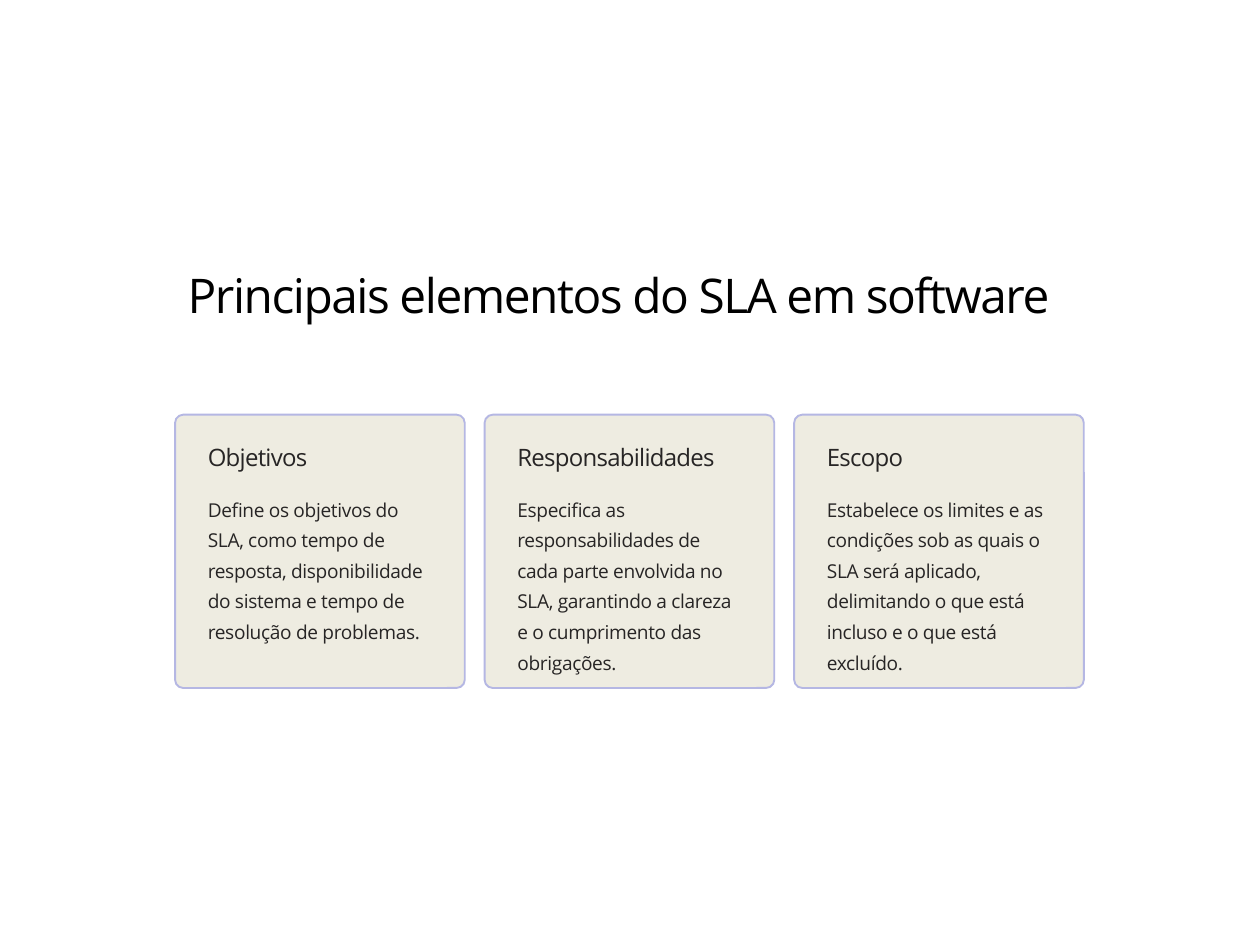
import pptx
import pptx.dml.color
import pptx.enum.shapes
import pptx.enum.text
import pptx.util
from pptx.util import Cm

LEFT, TOP = 3.53, 8.36
CARD_W, CARD_H, PITCH = 5.84, 5.51, 6.24
PAD = 0.41
CARDS = [
    ("Objetivos",
     "Define os objetivos do SLA, como tempo de resposta, disponibilidade "
     "do sistema e tempo de resolução de problemas."),
    ("Responsabilidades",
     "Especifica as responsabilidades de cada parte envolvida no SLA, "
     "garantindo a clareza e o cumprimento das obrigações."),
    ("Escopo",
     "Estabelece os limites e as condições sob as quais o SLA será aplicado, "
     "delimitando o que está incluso e o que está excluído."),
]


def rgb(value):
    """Return the colour for a hex string."""
    return pptx.dml.color.RGBColor.from_string(value)


def write(sp, text, size, leading, spacing, color, wrap=True):
    """Fill a shape with one left-aligned paragraph."""
    tf = sp.text_frame
    tf.word_wrap = wrap
    tf.auto_size = pptx.enum.text.MSO_AUTO_SIZE.NONE
    tf.vertical_anchor = pptx.enum.text.MSO_ANCHOR.TOP
    p = tf.paragraphs[0]
    p.alignment = pptx.enum.text.PP_ALIGN.LEFT
    p.line_spacing = pptx.util.Pt(leading)
    p.font.name = "Open Sans"
    p.font.size = pptx.util.Pt(size)
    p.font.color.rgb = rgb(color)
    r = p.add_run()
    r.text = text
    r._r.get_or_add_rPr().set("spc", str(round(spacing * 100)))


def add_title(s, text):
    """Place and format the title placeholder."""
    sp = s.shapes.title
    sp.left, sp.top, sp.width, sp.height = Cm(LEFT), Cm(5.18), Cm(18.31), Cm(2.41)
    write(sp, text, 27.3, 34.2, -0.8, "000000")


def add_card(s, x, heading, body):
    """Add a rounded card with a heading and a description."""
    sp = s.shapes.add_shape(
        pptx.enum.shapes.MSO_SHAPE.ROUNDED_RECTANGLE,
        Cm(x), Cm(TOP), Cm(CARD_W), Cm(CARD_H))
    sp.adjustments[0] = 0.03
    sp.shadow.inherit = False
    sp.fill.solid()
    sp.fill.fore_color.rgb = rgb("EEECE1")
    sp.line.color.rgb = rgb("B5B7E3")
    sp.line.width = pptx.util.Pt(1.09)
    left, width = Cm(x + PAD), Cm(CARD_W - 2 * PAD)
    sp = s.shapes.add_textbox(left, Cm(TOP + PAD), Cm(4.22), Cm(0.61))
    write(sp, heading, 13.7, 17.1, -0.4, "272525", wrap=False)
    sp = s.shapes.add_textbox(left, Cm(TOP + 1.4), width, Cm(3.71))
    write(sp, body, 10.9, 17.5, -0.2, "272525")


def main():
    """Build and save the slide."""
    prs = pptx.Presentation()
    prs.slide_width, prs.slide_height = Cm(25.4), Cm(19.05)
    s = prs.slides.add_slide(prs.slide_layouts[5])
    add_title(s, "Principais elementos do SLA em software")
    for i, (heading, body) in enumerate(CARDS):
        add_card(s, LEFT + i * PITCH, heading, body)
    prs.save("out.pptx")


if __name__ == "__main__":
    main()
